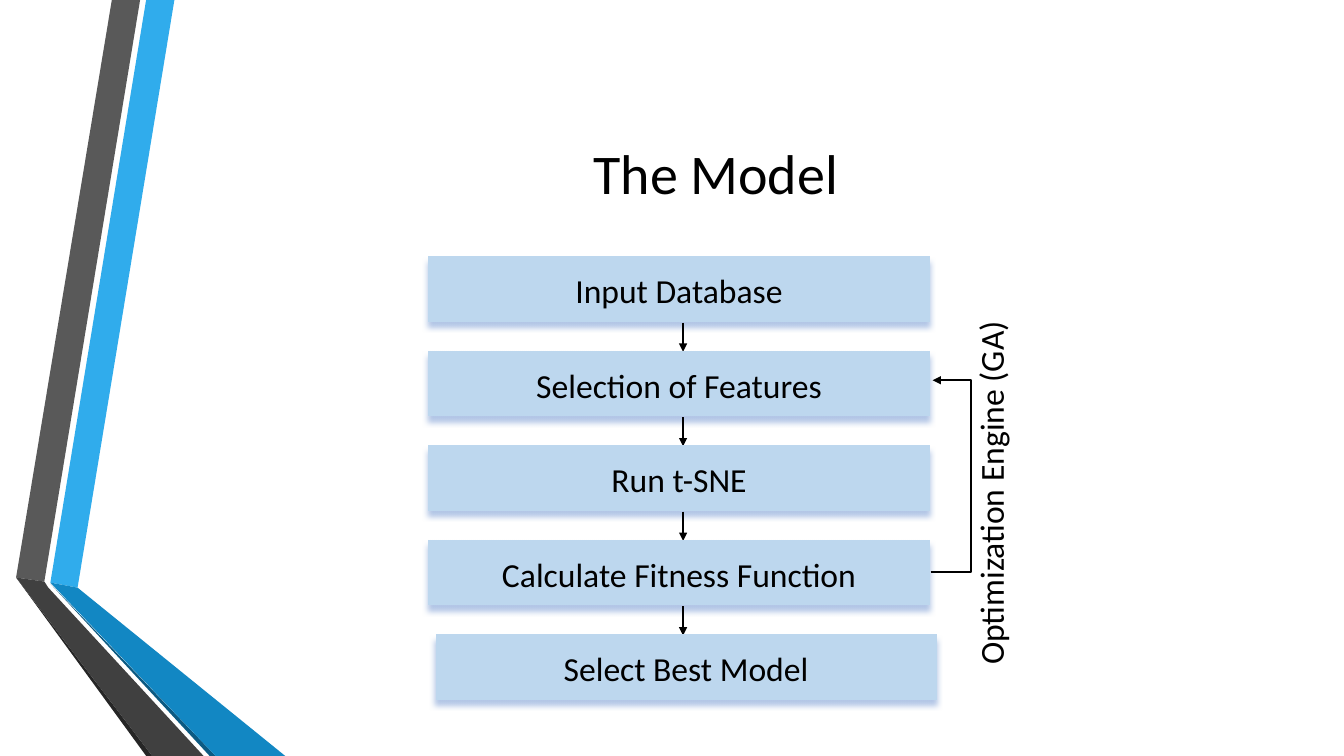
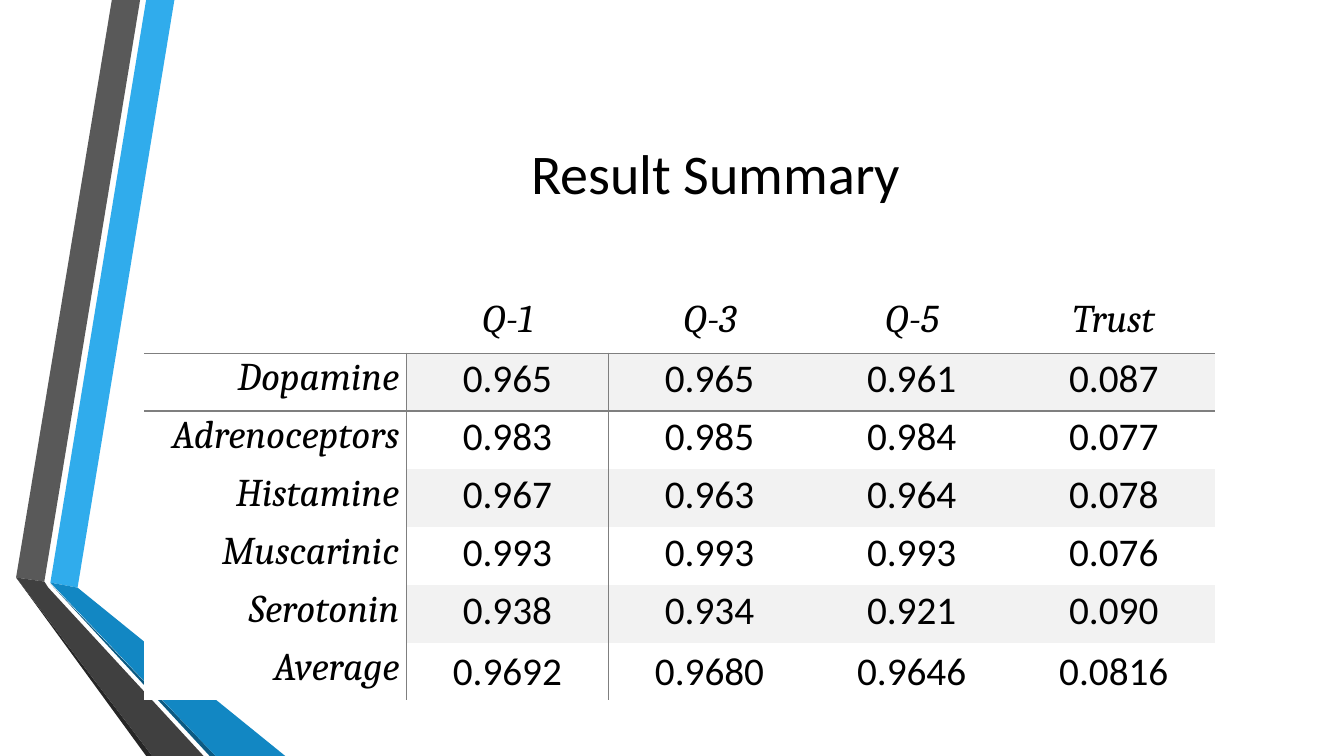
from dataclasses import dataclass
from lxml.etree import SubElement
from pptx import Presentation
from pptx.dml.color import RGBColor
from pptx.enum.shapes import MSO_CONNECTOR, MSO_SHAPE
from pptx.enum.text import MSO_ANCHOR, PP_ALIGN
from pptx.oxml import parse_xml
from pptx.oxml.ns import nsdecls, qn
from pptx.util import Inches, Pt

BLACK = RGBColor(0x00, 0x00, 0x00)
WHITE = RGBColor(0xFF, 0xFF, 0xFF)
STEP_FILL = RGBColor(0xBD, 0xD7, 0xEE)
STEP_SHADOW = RGBColor(0xB4, 0xC7, 0xE7)
RULE_GRAY = RGBColor(0x7F, 0x7F, 0x7F)
BAND_GRAY = RGBColor(0xF2, 0xF2, 0xF2)
BODY_FONT = "Calibri"
LABEL_FONT = "Cambria"
NO_TABLE_STYLE = "{2D5ABB26-0587-4C30-8999-92F81FD0307C}"

RIBBONS = [
    (RGBColor(0x30, 0xAC, 0xEC), [(50, 578), (77, 583), (173, 0), (145, 0)]),
    (RGBColor(0x59, 0x59, 0x59), [(139, 0), (111, 0), (16, 573), (44, 577)]),
    (RGBColor(0x26, 0x26, 0x26), [(16, 573), (145, 750), (151, 750)]),
    (RGBColor(0x0C, 0x5A, 0x82), [(50, 579), (208, 750), (214, 750)]),
    (RGBColor(0x12, 0x87, 0xC3), [(50, 578), (214, 750), (283, 750), (77, 583)]),
    (RGBColor(0x40, 0x40, 0x40), [(202, 750), (48, 583), (44, 577), (16, 573), (151, 750)]),
]

STEPS = [
    "Input Database",
    "Selection of Features",
    "Run t-SNE",
    "Calculate Fitness Function",
    "Select Best Model",
]

RESULTS = [
    ["", "Q-1", "Q-3", "Q-5", "Trust"],
    ["Dopamine", "0.965", "0.965", "0.961", "0.087"],
    ["Adrenoceptors", "0.983", "0.985", "0.984", "0.077"],
    ["Histamine", "0.967", "0.963", "0.964", "0.078"],
    ["Muscarinic", "0.993", "0.993", "0.993", "0.076"],
    ["Serotonin", "0.938", "0.934", "0.921", "0.090"],
    ["Average", "0.9692", "0.9680", "0.9646", "0.0816"],
]


@dataclass
class Box:
    left: float
    top: float
    width: float
    height: float

    def inches(self):
        return [Inches(value) for value in (self.left, self.top, self.width, self.height)]


TITLE_BOX = Box(1.62, 0.75, 10.96, 1.92)
FLOW_BOX = Box(4.25, 2.54, 4.97, 4.69)
TABLE_BOX = Box(1.43, 2.93, 10.62, 4.02)


def write(text_frame, text, size, align=PP_ALIGN.CENTER, spacing=None, font=BODY_FONT):
    text_frame.text = text
    paragraph = text_frame.paragraphs[0]
    paragraph.alignment = align
    paragraph.line_spacing = spacing
    for run in paragraph.runs:
        run.font.size = Pt(size)
        run.font.name = font
        run.font.italic = font == LABEL_FONT
        run.font.color.rgb = BLACK


def add_ribbons(slide):
    layout_tree = slide.slide_layout.shapes.element
    for number, (color, points) in enumerate(RIBBONS, start=100):
        builder = slide.shapes.build_freeform(*points[0], scale=Inches(0.01))
        builder.add_line_segments(points[1:], close=True)
        ribbon = builder.convert_to_shape()
        ribbon.shadow.inherit = False
        ribbon.fill.solid()
        ribbon.fill.fore_color.rgb = color
        ribbon.line.fill.background()
        ribbon.element.nvSpPr.cNvPr.id = number
        layout_tree.append(ribbon.element)


def add_titled_slide(presentation, title):
    slide = presentation.slides.add_slide(presentation.slide_layouts[5])
    placeholder = slide.shapes.title
    placeholder.left, placeholder.top, placeholder.width, placeholder.height = TITLE_BOX.inches()
    placeholder.text_frame.vertical_anchor = MSO_ANCHOR.MIDDLE
    write(placeholder.text_frame, title, 40)
    return slide


def add_step(slide, box, text):
    step = slide.shapes.add_shape(MSO_SHAPE.FLOWCHART_PROCESS, *box.inches())
    step.fill.solid()
    step.fill.fore_color.rgb = STEP_FILL
    step.line.fill.background()
    step.element.spPr.append(parse_xml(
        f'<a:effectLst {nsdecls("a")}>'
        f'<a:outerShdw blurRad="{Pt(4)}" dist="{Pt(4)}" dir="5400000" algn="ctr" rotWithShape="0">'
        f'<a:srgbClr val="{STEP_SHADOW}"/></a:outerShdw></a:effectLst>'))
    step.text_frame.vertical_anchor = MSO_ANCHOR.MIDDLE
    write(step.text_frame, text, 24, spacing=1.07)


def add_arrow(slide, kind, start, end):
    arrow = slide.shapes.add_connector(kind, *map(Inches, start + end))
    arrow.line.color.rgb = BLACK
    arrow.line.width = Pt(1.5)
    SubElement(arrow.line._get_or_add_ln(), qn("a:tailEnd"), type="triangle")
    SubElement(arrow.element.spPr, qn("a:effectLst"))
    return arrow


def add_feedback_loop(slide, box, pitch, step_height):
    right = box.left + box.width
    gap, reach = 0.02, 0.4
    start = (right + 0.01, box.top + 3 * pitch + step_height / 2)
    end = (right + 0.01 + gap, box.top + pitch + step_height / 2 - 0.03)
    loop = add_arrow(slide, MSO_CONNECTOR.ELBOW, start, end)
    guides = loop.element.spPr.find(qn("a:prstGeom")).find(qn("a:avLst"))
    SubElement(guides, qn("a:gd"), name="adj1", fmla=f"val {round(reach / gap * 100000)}")

    length, thickness = 3.87, 0.41
    center_x, center_y = right + 0.53, box.top + 2.22
    label_box = Box(center_x - length / 2, center_y - thickness / 2, length, thickness)
    label = slide.shapes.add_textbox(*label_box.inches())
    label.rotation = 270
    label.text_frame.word_wrap = True
    write(label.text_frame, "Optimization Engine (GA)", 24, PP_ALIGN.LEFT, 1.07)


def add_flow(slide, box):
    pitch = box.height / len(STEPS)
    step_height = 0.65
    arrow_x = box.left + box.width / 2 + 0.04
    for index, text in enumerate(STEPS):
        top = box.top + index * pitch
        is_last = index == len(STEPS) - 1
        shift = 0.07 if is_last else 0
        add_step(slide, Box(box.left + shift, top, box.width, step_height), text)
        if not is_last:
            arrow_top = top + step_height + 0.01
            add_arrow(slide, MSO_CONNECTOR.STRAIGHT,
                      (arrow_x, arrow_top), (arrow_x, arrow_top + 0.29))
    add_feedback_loop(slide, box, pitch, step_height)


def rule_cell(cell, sides):
    properties = cell._tc.get_or_add_tcPr()
    for position, side in enumerate(sides):
        properties.insert(position, parse_xml(
            f'<a:ln{side} {nsdecls("a")} w="{Pt(1)}"><a:solidFill>'
            f'<a:srgbClr val="{RULE_GRAY}"/></a:solidFill></a:ln{side}>'))


def format_cell(cell, text, row, column):
    is_label = row == 0 or column == 0
    is_average = row == len(RESULTS) - 1 and not is_label
    align = PP_ALIGN.RIGHT if column == 0 else PP_ALIGN.CENTER
    write(cell.text_frame, text, 28, align, None if is_average else 1.05,
          LABEL_FONT if is_label else BODY_FONT)
    cell.margin_left = cell.margin_right = Inches(0.01 if is_average else 0.07)
    cell.margin_top = Inches(0.01 if is_average else 0)
    cell.margin_bottom = 0
    cell.vertical_anchor = MSO_ANCHOR.MIDDLE if is_average else MSO_ANCHOR.TOP
    if is_label or row % 2:
        cell.fill.solid()
        cell.fill.fore_color.rgb = WHITE if is_label else BAND_GRAY
    else:
        cell.fill.background()
    borders = {
        "L": column == 1 and row > 0,
        "R": column == 0 and row > 0,
        "T": row == 1,
        "B": row == 0,
    }
    rule_cell(cell, [side for side, shown in borders.items() if shown])


def add_results(slide, box):
    frame = slide.shapes.add_table(len(RESULTS), len(RESULTS[0]), *box.inches())
    table = frame.table
    table.first_row = table.horz_banding = False
    table._tbl.tblPr.find(qn("a:tableStyleId")).text = NO_TABLE_STYLE
    label_width = 2.6
    value_width = (box.width - label_width) / (len(RESULTS[0]) - 1)
    for index, column in enumerate(table.columns):
        column.width = Inches(value_width if index else label_width)
    for row, values in enumerate(RESULTS):
        table.rows[row].height = Inches(box.height / len(RESULTS))
        for column, text in enumerate(values):
            format_cell(table.cell(row, column), text, row, column)


def main():
    presentation = Presentation()
    presentation.slide_width = Inches(13.33)
    presentation.slide_height = Inches(7.5)
    model_slide = add_titled_slide(presentation, "The Model")
    add_ribbons(model_slide)
    add_flow(model_slide, FLOW_BOX)
    add_results(add_titled_slide(presentation, "Result Summary"), TABLE_BOX)
    presentation.save("out.pptx")


if __name__ == "__main__":
    main()
